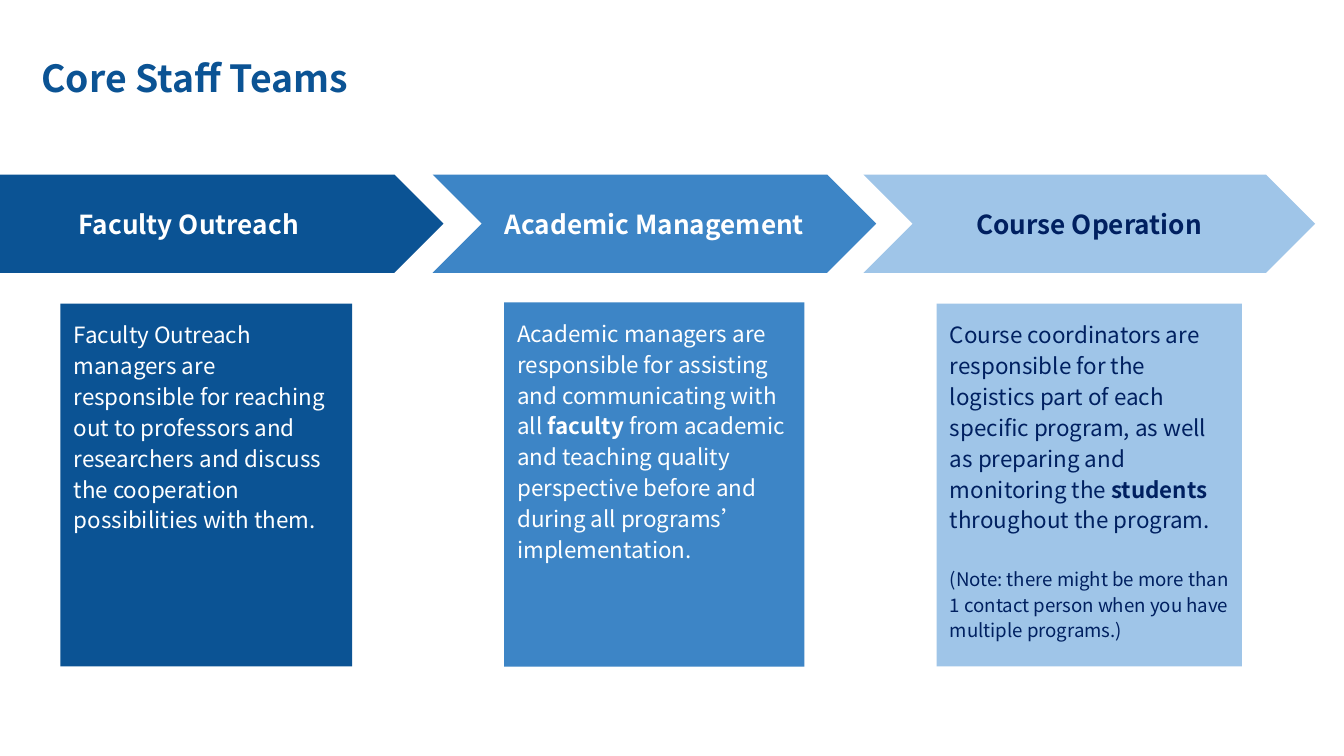
"""Build the slide of core staff teams: an arrow and a text panel for each team."""
import pptx
import pptx.dml.color
import pptx.enum.shapes
import pptx.enum.text
import pptx.util

SCALE = 4572
FONT = "Noto Sans CJK SC"
HUES = {"dark": "0B5394", "mid": "3D85C6", "light": "9FC5E8",
        "navy": "002060", "white": "FFFFFF"}
KIND = pptx.enum.shapes.MSO_SHAPE
ALIGN = pptx.enum.text.PP_ALIGN
ANCHOR = pptx.enum.text.MSO_ANCHOR

TEAMS = [
    {"name": "Course Operation", "fill": "light", "ink": "navy",
     "kind": KIND.CHEVRON, "arrow": (1285, 260, 672, 146),
     "panel": (1394, 452, 454, 540),
     "duty": [("Course coordinators are responsible for the logistics part of each "
               "specific program, as well as preparing and monitoring the ", False),
              ("students", True), (" throughout the program.", False)],
     "note": "(Note: there might be more than 1 contact person when you have "
             "multiple programs.)"},
    {"name": "Faculty Outreach", "fill": "dark", "ink": "white",
     "kind": KIND.PENTAGON, "arrow": (0, 260, 660, 146),
     "panel": (90, 452, 434, 540), "align": ALIGN.LEFT, "indent": 117,
     "duty": [("Faculty Outreach managers are responsible for reaching out to "
               "professors and researchers and discuss the cooperation "
               "possibilities with them.", False)]},
    {"name": "Academic Management", "fill": "mid", "ink": "white",
     "kind": KIND.CHEVRON, "arrow": (644, 260, 660, 146),
     "panel": (750, 450, 447, 542),
     "duty": [("Academic managers are responsible for assisting and communicating "
               "with all ", False),
              ("faculty ", True),
              ("from academic and teaching quality perspective before and during "
               "all programs’ implementation.", False)]},
]


def px(*sizes):
    """Turn px lengths into EMU."""
    return [pptx.util.Emu(size * SCALE) for size in sizes]


def paint(color, hue):
    """Give a color format a named hue."""
    color.rgb = pptx.dml.color.RGBColor.from_string(HUES[hue])


def apply(thing, form):
    """Set each format value on an object."""
    for key, value in form.items():
        setattr(thing, key, value)


def set_frame(frame, anchor, left=20):
    """Set wrapping, anchor and margins of a text frame."""
    edge, indent = px(20, left)
    apply(frame, {"word_wrap": True, "vertical_anchor": anchor,
                  "margin_left": indent, "margin_right": edge,
                  "margin_top": edge, "margin_bottom": edge})


def write(para, runs, size, ink, form):
    """Fill a paragraph with runs of text and bold flag."""
    apply(para, form)
    for text, bold in runs:
        run = para.add_run()
        run.text = text
        apply(run.font, {"name": FONT, "size": pptx.util.Pt(size), "bold": bold})
        paint(run.font.color, ink)


def add_block(group, kind, box, fill):
    """Add a plain filled shape and return it."""
    block = group.shapes.add_shape(kind, *px(*box))
    block.shadow.inherit = False
    block.fill.solid()
    paint(block.fill.fore_color, fill)
    block.line.fill.background()
    return block


def add_arrow(group, team):
    """Add the arrow that names a team."""
    frame = add_block(group, team["kind"], team["arrow"], team["fill"]).text_frame
    set_frame(frame, ANCHOR.MIDDLE, team.get("indent", 20))
    write(frame.paragraphs[0], [(team["name"], True)], 14, team["ink"],
          {"alignment": team.get("align", ALIGN.CENTER)})


def add_panel(group, team):
    """Add the panel that tells the duty of a team."""
    frame = add_block(group, KIND.RECTANGLE, team["panel"], team["fill"]).text_frame
    set_frame(frame, ANCHOR.TOP)
    form = {"alignment": ALIGN.LEFT, "line_spacing": 1.15}
    write(frame.paragraphs[0], team["duty"], 12, team["ink"], form)
    if "note" in team:
        write(frame.add_paragraph(), [(team["note"], False)], 10, team["ink"],
              {**form, "space_before": pptx.util.Pt(16.6)})


def add_title(slide, text):
    """Add the slide title."""
    frame = slide.shapes.add_textbox(*px(42, 62, 736, 138)).text_frame
    set_frame(frame, ANCHOR.TOP)
    write(frame.paragraphs[0], [(text, True)], 20, "dark", {"alignment": ALIGN.LEFT})


def main():
    """Build and save the slide."""
    deck = pptx.Presentation()
    deck.slide_width, deck.slide_height = px(2000, 1125)
    slide = deck.slides.add_slide(deck.slide_layouts[6])
    for team in TEAMS:
        group = slide.shapes.add_group_shape()
        add_arrow(group, team)
        add_panel(group, team)
    add_title(slide, "Core Staff Teams")
    deck.save("out.pptx")


if __name__ == "__main__":
    main()
